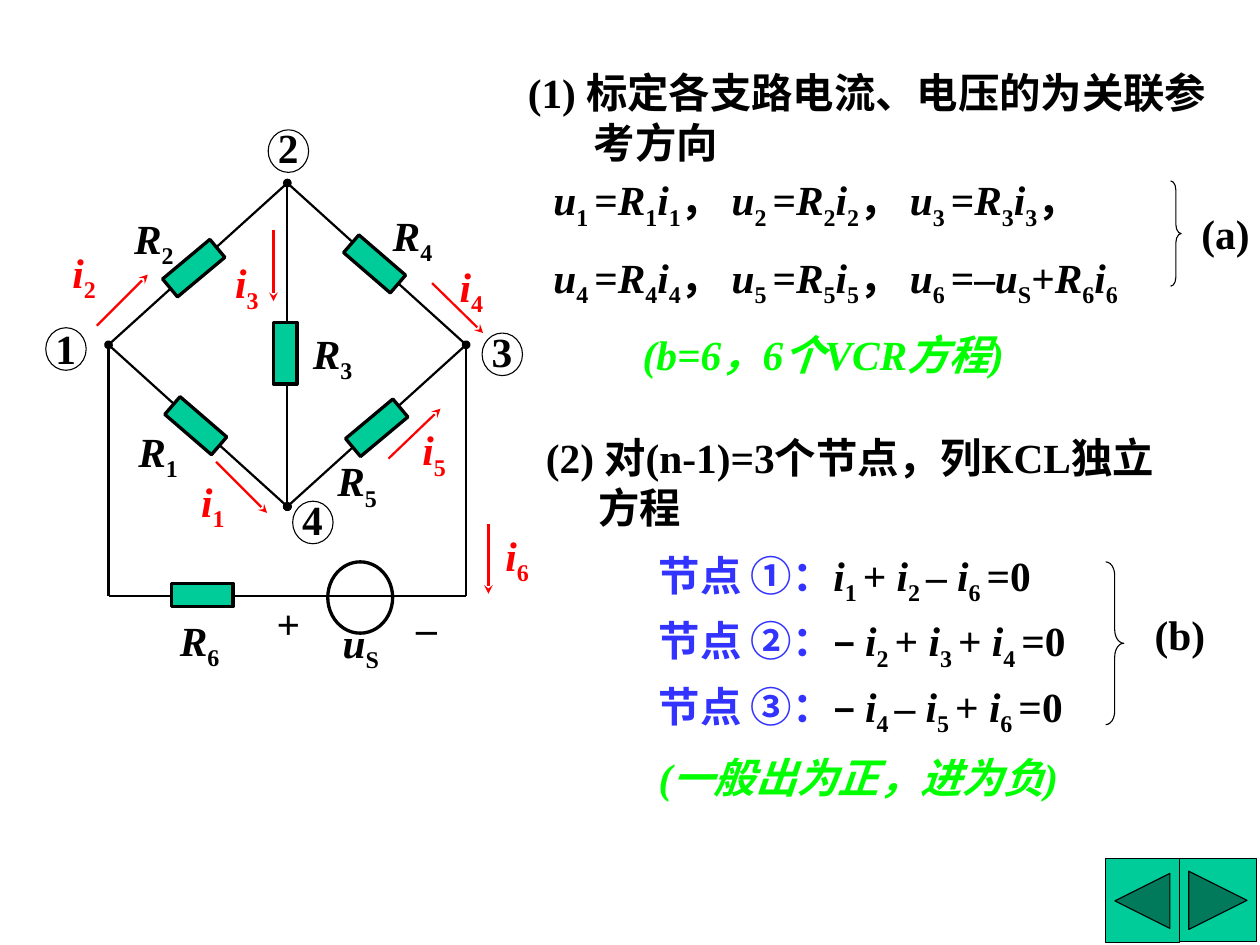
"""Build a slide on the branch current method for a bridge circuit."""
from lxml import etree
from pptx import Presentation
from pptx.dml.color import RGBColor
from pptx.enum.shapes import MSO_CONNECTOR, MSO_SHAPE
from pptx.enum.text import MSO_AUTO_SIZE
from pptx.oxml.ns import qn
from pptx.util import Inches, Pt

STRAIGHT = MSO_CONNECTOR.STRAIGHT
RECTANGLE, ELLIPSE = MSO_SHAPE.RECTANGLE, MSO_SHAPE.OVAL
BRACE = MSO_SHAPE.RIGHT_BRACE
BACK_BUTTON = MSO_SHAPE.ACTION_BUTTON_BACK_OR_PREVIOUS
NEXT_BUTTON = MSO_SHAPE.ACTION_BUTTON_FORWARD_OR_NEXT
GROW = MSO_AUTO_SIZE.SHAPE_TO_FIT_TEXT

BLACK = RGBColor(0x00, 0x00, 0x00)
RED = RGBColor(0xFF, 0x00, 0x00)
GREEN = RGBColor(0x00, 0xFF, 0x00)
BLUE = RGBColor(0x33, 0x33, 0xFF)
TEAL = RGBColor(0x00, 0xCC, 0x99)

LEFT, TOP, RIGHT, BOTTOM = (1.02, 3.24), (2.7, 1.72), (4.38, 3.24), (2.7, 4.76)
BASE = 5.6

WIRES = [
    (TOP, BOTTOM, "oval"), (TOP, RIGHT, None), (LEFT, BOTTOM, "oval"),
    (RIGHT, BOTTOM, "oval"), (TOP, LEFT, None),
    (LEFT, (LEFT[0], BASE), None), (RIGHT, (RIGHT[0], BASE), None),
    ((LEFT[0], BASE), (RIGHT[0], BASE), None),
]
RESISTORS = [
    (1.84, 4.0, 310.8), (1.82, 2.52, 50.1), (2.68, 3.32, 0),
    (3.52, 2.48, 310.8), (3.54, 4.02, 50.1), (1.9, 5.59, 90),
]
RESISTOR_LABELS = [
    (1.18, 3.94), (1.14, 1.94), (2.82, 3.02), (3.57, 1.91), (3.05, 4.22), (1.57, 5.72),
]
CURRENT_LABELS = [
    (1.77, 4.41), (0.56, 2.26), (2.09, 2.36), (4.2, 2.39), (3.85, 3.93), (4.63, 4.92),
]
CURRENT_ARROWS = [
    ((2.03, 4.34), (2.51, 4.82)), ((0.91, 3.06), (1.39, 2.58)),
    ((2.57, 2.16), (2.57, 2.83)), ((4.06, 2.66), (4.54, 3.13)),
    ((3.65, 4.31), (4.14, 3.84)), ((4.59, 4.92), (4.59, 5.58)),
]
NODES = [(0.43, 3.08, 2.98), (2.52, 1.22, 1.09), (4.53, 3.13, 3.0), (2.75, 4.71, 4.58)]
VOLTAGE_EQUATIONS = [
    "u_1 =R_1i_1， u_2 =R_2i_2， u_3 =R_3i_3，",
    "u_4 =R_4i_4， u_5 =R_5i_5， u_6 =–u_S+R_6i_6",
]
NODE_EQUATIONS = [
    ("节点 ①：", "i_1 + i_2 – i_6 =0"),
    ("节点 ②：", "– i_2 + i_3 + i_4 =0"),
    ("节点 ③：", "– i_4 – i_5 + i_6 =0"),
]


def add_run(paragraph, text, color=BLACK, italic=False, subscript=False):
    """Append one bold run."""
    if not text:
        return
    run = paragraph.add_run()
    run.text = text
    font = run.font
    font.name, font.size, font.bold, font.italic = "Times New Roman", Pt(28), True, italic
    font.color.rgb = color
    if subscript:
        run.font._element.set("baseline", "-25000")


def add_formula(paragraph, text, color=BLACK, italic=False):
    """Append text where x_1 means an italic x with subscript 1."""
    pieces = text.split("_")
    for index, piece in enumerate(pieces):
        if index:
            length = 2 if piece[1:2] == " " else 1
            add_run(paragraph, piece[:length], color, italic, subscript=True)
            piece = piece[length:]
        if index < len(pieces) - 1:
            add_run(paragraph, piece[:-1], color, italic)
            add_run(paragraph, piece[-1], color, italic=True)
        else:
            add_run(paragraph, piece, color, italic)


def add_text(slide, lines, left, top, width, height=0.59, color=BLACK,
             italic=False, hanging=0, gap=14):
    """Add a text box; a line is a formula or a pair of blue lead and formula."""
    box = slide.shapes.add_textbox(Inches(left), Inches(top), Inches(width), Inches(height))
    frame = box.text_frame
    frame.word_wrap = True
    frame.auto_size = GROW
    frame.margin_left = frame.margin_right = Inches(0.12)
    frame.margin_top = frame.margin_bottom = Inches(0.06)
    for index, line in enumerate(lines):
        paragraph = frame.add_paragraph() if index else frame.paragraphs[0]
        if index:
            paragraph.space_before = Pt(gap)
        if hanging:
            properties = paragraph._p.get_or_add_pPr()
            properties.set("marL", str(Inches(hanging)))
            properties.set("indent", str(-Inches(hanging)))
        lead, formula = line if isinstance(line, tuple) else ("", line)
        add_run(paragraph, lead, BLUE)
        add_formula(paragraph, formula, color, italic)


def add_line(slide, start, end, color=BLACK, head=None, tail=None):
    """Add a straight line with optional end marks."""
    line = slide.shapes.add_connector(STRAIGHT, *(Inches(value) for value in start + end))
    line.line.color.rgb = color
    line.line.width = Pt(1.5)
    outline = line.line._get_or_add_ln()
    for tag, mark in (("a:headEnd", head), ("a:tailEnd", tail)):
        if mark:
            etree.SubElement(outline, qn(tag)).set("type", mark)
    etree.SubElement(line._element.spPr, qn("a:effectLst"))


def add_figure(slide, kind, left, top, width, height, fill=None, line_width=0.75, rotation=0):
    """Add an outlined preset shape."""
    shape = slide.shapes.add_shape(
        kind, Inches(left), Inches(top), Inches(width), Inches(height))
    shape.shadow.inherit = False
    shape.rotation = rotation
    if fill is None:
        shape.fill.background()
    else:
        shape.fill.solid()
        shape.fill.fore_color.rgb = fill
    shape.line.color.rgb = BLACK
    shape.line.width = Pt(line_width)
    return shape


def add_brace(slide, left, top, width, height, curve):
    """Add a right brace."""
    brace = add_figure(slide, BRACE, left, top, width, height)
    brace.adjustments[0] = curve


def add_circuit(slide):
    """Draw the bridge circuit with its labels and currents."""
    for number, (label, arrow) in enumerate(zip(CURRENT_LABELS, CURRENT_ARROWS), 1):
        add_text(slide, [f"i_{number}"], *label, 0.65, color=RED)
        add_line(slide, *arrow, color=RED, tail="stealth")
    for start, end, mark in WIRES:
        add_line(slide, start, end, head=mark, tail=mark)
    width, height = 0.22, 0.58
    for x, y, rotation in RESISTORS:
        add_figure(slide, RECTANGLE, x - width / 2, y - height / 2, width, height,
                   fill=TEAL, line_width=2.25, rotation=rotation)
    add_figure(slide, ELLIPSE, 3.08, 5.28, 0.61, 0.67, line_width=2.25)
    for number, label in enumerate(RESISTOR_LABELS, 1):
        add_text(slide, [f"R_{number}"], *label, 0.65)
    add_text(slide, ["+"], 2.48, 5.56, 0.6)
    add_text(slide, ["–"], 3.79, 5.6, 0.6)
    add_text(slide, ["u_S"], 3.1, 5.74, 0.65)
    for number, (left, top, text_top) in enumerate(NODES, 1):
        add_text(slide, [str(number)], left - 0.03, text_top, 0.48)
        add_figure(slide, ELLIPSE, left, top, 0.38, 0.4)


def add_equations(slide):
    """Write the two steps with their equations."""
    add_text(slide, ["(1) 标定各支路电流、电压的为关联参考方向"], 4.84, 0.57, 6.64, 1.05,
             hanging=0.62)
    add_text(slide, VOLTAGE_EQUATIONS, 5.08, 1.58, 6.14, 1.29)
    add_brace(slide, 11, 1.7, 0.1, 0.99, 0.851)
    add_text(slide, ["(a)"], 11.17, 1.9, 0.91)
    add_text(slide, ["(b=6，6个VCR方程)"], 5.92, 3.03, 3.9, color=GREEN, italic=True)
    add_text(slide, ["(2) 对(n-1)=3个节点，列KCL独立方程"], 5.01, 4, 6.17, 1.05, hanging=0.49)
    add_text(slide, NODE_EQUATIONS, 6.07, 5.11, 4.44, 1.71, gap=6)
    add_brace(slide, 10.39, 5.28, 0.17, 1.53, 0.742)
    add_text(slide, ["(b)"], 10.73, 5.66, 0.81)
    add_text(slide, ["(一般出为正，进为负)"], 6.07, 7.01, 4.22, color=GREEN, italic=True)


def main():
    """Build and save the slide."""
    presentation = Presentation()
    presentation.slide_width, presentation.slide_height = Inches(11.84), Inches(8.88)
    slide = presentation.slides.add_slide(presentation.slide_layouts[6])
    add_circuit(slide)
    add_equations(slide)
    add_figure(slide, NEXT_BUTTON, 11.08, 8.07, 0.73, 0.78, fill=TEAL)
    add_figure(slide, BACK_BUTTON, 10.39, 8.07, 0.69, 0.79, fill=TEAL)
    presentation.save("out.pptx")


if __name__ == "__main__":
    main()
